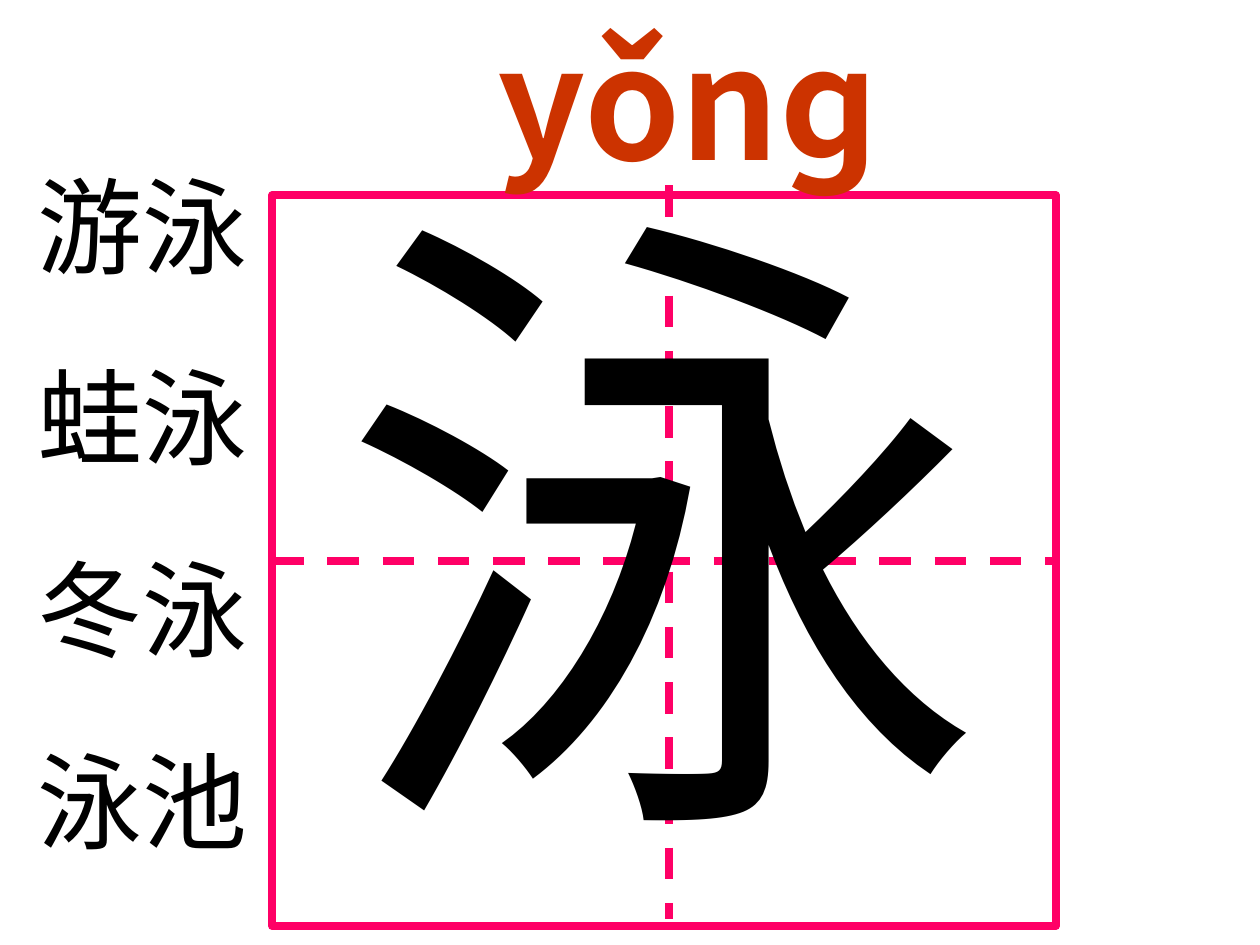
from dataclasses import dataclass

from lxml.etree import SubElement
from pptx import Presentation
from pptx.dml.color import RGBColor
from pptx.enum.dml import MSO_LINE
from pptx.enum.lang import MSO_LANGUAGE_ID
from pptx.enum.shapes import MSO_CONNECTOR, MSO_SHAPE
from pptx.enum.text import MSO_AUTO_SIZE
from pptx.oxml.ns import qn
from pptx.util import Inches, Pt


@dataclass(frozen=True)
class Theme:
    grid: RGBColor = RGBColor(0xFF, 0x00, 0x66)
    ink: RGBColor = RGBColor(0x00, 0x00, 0x00)
    pinyin: RGBColor = RGBColor(0xCC, 0x33, 0x00)
    grid_width: float = 4.5
    character_size: int = 370
    pinyin_size: int = 88
    word_size: int = 60
    word_gap: float = 37.5


@dataclass(frozen=True)
class Label:
    lines: tuple[str, ...]
    left: float
    top: float
    width: float
    height: float
    font: str
    size: int
    color: RGBColor
    bold: bool = False
    wrap: bool = False
    gap: float = 0


THEME = Theme()

LABELS = (
    Label(("泳",), 2.59, 0.92, 5.34, 6.27, "Times New Roman",
          THEME.character_size, THEME.ink),
    Label(("yǒnɡ",), 3.85, 0, 3.23, 1.57, "Noto Sans CJK SC",
          THEME.pinyin_size, THEME.pinyin, bold=True),
    Label(("游泳", "蛙泳", "冬泳", "泳池"), 0.2, 1.23, 2.13, 5.67, "Arial",
          THEME.word_size, THEME.ink, wrap=True, gap=THEME.word_gap),
)


def style_line(line) -> None:
    line.color.rgb = THEME.grid
    line.width = Pt(THEME.grid_width)


def add_frame(slide):
    sp = slide.shapes.add_shape(MSO_SHAPE.RECTANGLE, Inches(2.16), Inches(1.55),
                                Inches(6.22), Inches(5.8))
    sp.shadow.inherit = False
    sp.fill.background()
    style_line(sp.line)
    return sp


def add_guide(slide, x1: float, y1: float, x2: float, y2: float):
    cxn = slide.shapes.add_connector(MSO_CONNECTOR.STRAIGHT, Inches(x1), Inches(y1),
                                     Inches(x2), Inches(y2))
    style_line(cxn.line)
    cxn.line.dash_style = MSO_LINE.DASH
    SubElement(cxn._element.spPr, qn("a:effectLst"))
    return cxn


def add_label(slide, label: Label) -> None:
    sp = slide.shapes.add_textbox(Inches(label.left), Inches(label.top),
                                  Inches(label.width), Inches(label.height))
    tf = sp.text_frame
    tf.word_wrap = label.wrap
    tf.auto_size = MSO_AUTO_SIZE.SHAPE_TO_FIT_TEXT
    font_format = {"name": label.font, "size": Pt(label.size), "bold": label.bold,
                   "language_id": MSO_LANGUAGE_ID.SIMPLIFIED_CHINESE}
    for i, line in enumerate(label.lines):
        p = tf.add_paragraph() if i else tf.paragraphs[0]
        p.space_before = Pt(label.gap if i else 0)
        r = p.add_run()
        r.text = line
        for key, value in font_format.items():
            setattr(r.font, key, value)
        r.font.color.rgb = label.color


def main() -> None:
    prs = Presentation()
    prs.slide_width, prs.slide_height = Inches(10), Inches(7.5)
    slide = prs.slides.add_slide(prs.slide_layouts[6])
    frame = add_frame(slide)
    horizontal = add_guide(slide, 2.16, 4.45, 8.38, 4.45)
    horizontal.begin_connect(frame, 1)
    horizontal.end_connect(frame, 3)
    add_guide(slide, 5.31, 1.47, 5.31, 7.29)
    for label in LABELS:
        add_label(slide, label)
    prs.save("out.pptx")


if __name__ == "__main__":
    main()
